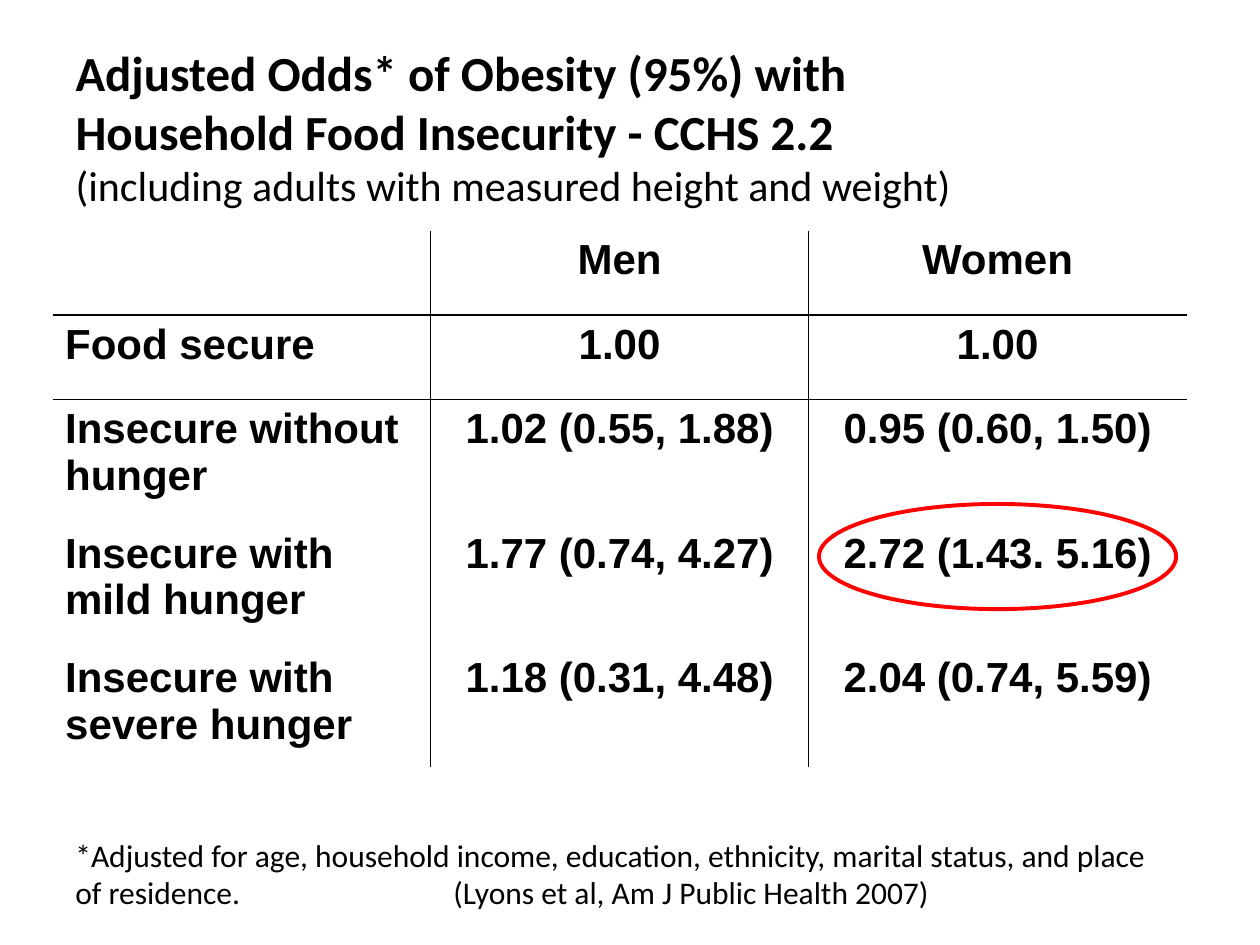
"""Builds a slide on the adjusted odds of obesity by household food insecurity."""
from lxml.etree import SubElement
from pptx import Presentation
from pptx.dml.color import RGBColor
from pptx.enum.shapes import MSO_SHAPE
from pptx.enum.text import MSO_ANCHOR, PP_ALIGN
from pptx.oxml.ns import qn
from pptx.util import Cm, Pt

COLORS = {"ink": "000000", "highlight": "FF0000"}
NO_STYLE = "{2D5ABB26-0587-4C30-8999-92F81FD0307C}"

HEADING = ["Adjusted Odds* of Obesity (95%) with",
           "Household Food Insecurity - CCHS 2.2"]
SUBHEADING = "(including adults with measured height and weight)"
ODDS = [
    ["", "Men", "Women"],
    ["Food secure", "1.00", "1.00"],
    ["Insecure without hunger", "1.02 (0.55, 1.88)", "0.95 (0.60, 1.50)"],
    ["Insecure with mild hunger", "1.77 (0.74, 4.27)", "2.72 (1.43. 5.16)"],
    ["Insecure with severe hunger", "1.18 (0.31, 4.48)", "2.04 (0.74, 5.59)"],
]
ROW_HEIGHTS = [1.7, 1.7, 2.51, 2.51, 2.39]
FOOTNOTE = ("*Adjusted for age, household income, education, ethnicity, marital status, "
            "and place of residence.\t(Lyons et al, Am J Public Health 2007)")


class SlideBuilder:
    """Holds the style and the current slide."""

    body_font = "Calibri"
    table_font = "Arial"

    def __init__(self, slide):
        self.slide = slide

    def color(self, name):
        return RGBColor.from_string(COLORS[name])

    def style(self, font, face, size, bold=False):
        font.name, font.size, font.bold = face, Pt(size), bold
        font.color.rgb = self.color("ink")

    def title(self, box, heading, subheading):
        title = self.slide.shapes.title
        title.left, title.top, title.width, title.height = map(Cm, box)
        title.text_frame.vertical_anchor = MSO_ANCHOR.MIDDLE
        paragraph = title.text_frame.paragraphs[0]
        paragraph.alignment = PP_ALIGN.LEFT
        self.style(paragraph.font, self.body_font, 28, True)
        for line in heading:
            run = paragraph.add_run()
            run.text = line
            self.style(run.font, self.body_font, 28, True)
            paragraph.add_line_break()
        run = paragraph.add_run()
        run.text = subheading
        self.style(run.font, self.body_font, 24)

    def border(self, cell, side):
        line = SubElement(cell._tc.get_or_add_tcPr(), qn(f"a:ln{side}"), w=str(Pt(0.96)))
        fill = SubElement(line, qn("a:solidFill"))
        SubElement(fill, qn("a:srgbClr"), val=COLORS["ink"])

    def table(self, left, top, column_width, row_heights, rows):
        columns = len(rows[0])
        table = self.slide.shapes.add_table(
            len(rows), columns, Cm(left), Cm(top),
            Cm(column_width * columns), Cm(sum(row_heights))).table
        table.first_row = table.horz_banding = False
        table._tbl.tblPr.find(qn("a:tableStyleId")).text = NO_STYLE
        for column in table.columns:
            column.width = Cm(column_width)
        for r, (height, values) in enumerate(zip(row_heights, rows)):
            table.rows[r].height = Cm(height)
            for c, value in enumerate(values):
                cell = table.cell(r, c)
                sides = {"L": c > 0, "R": c < columns - 1, "T": r == 1, "B": r == 0}
                for side in (name for name, shown in sides.items() if shown):
                    self.border(cell, side)
                cell.fill.background()
                cell.text = value
                paragraph = cell.text_frame.paragraphs[0]
                paragraph.alignment = PP_ALIGN.CENTER if c else PP_ALIGN.LEFT
                self.style(paragraph.font, self.table_font, 24, True)

    def footnote(self, box, text, citation_tab):
        frame = self.slide.shapes.add_textbox(*map(Cm, box)).text_frame
        frame.word_wrap = True
        paragraph = frame.paragraphs[0]
        paragraph.text = text
        tabs = SubElement(paragraph._p.get_or_add_pPr(), qn("a:tabLst"))
        SubElement(tabs, qn("a:tab"), pos=str(Cm(citation_tab)), algn="l")
        self.style(paragraph.font, self.body_font, 18)

    def ring(self, box):
        ring = self.slide.shapes.add_shape(MSO_SHAPE.OVAL, *map(Cm, box))
        ring.shadow.inherit = False
        ring.fill.background()
        ring.line.color.rgb = self.color("highlight")
        ring.line.width = Pt(2.25)


def main():
    deck = Presentation()
    deck.slide_width, deck.slide_height = Cm(25.4), Cm(19.05)
    builder = SlideBuilder(deck.slides.add_slide(deck.slide_layouts[5]))
    builder.title((1.27, 0.64, 22.86, 3.81), HEADING, SUBHEADING)
    builder.table(1.06, 4.65, 7.62, ROW_HEIGHTS, ODDS)
    builder.footnote((1.27, 16.72, 22.23, 1.78), FOOTNOTE, 7.62)
    builder.ring((16.51, 10.16, 7.2, 2.12))
    deck.save("out.pptx")


if __name__ == "__main__":
    main()
